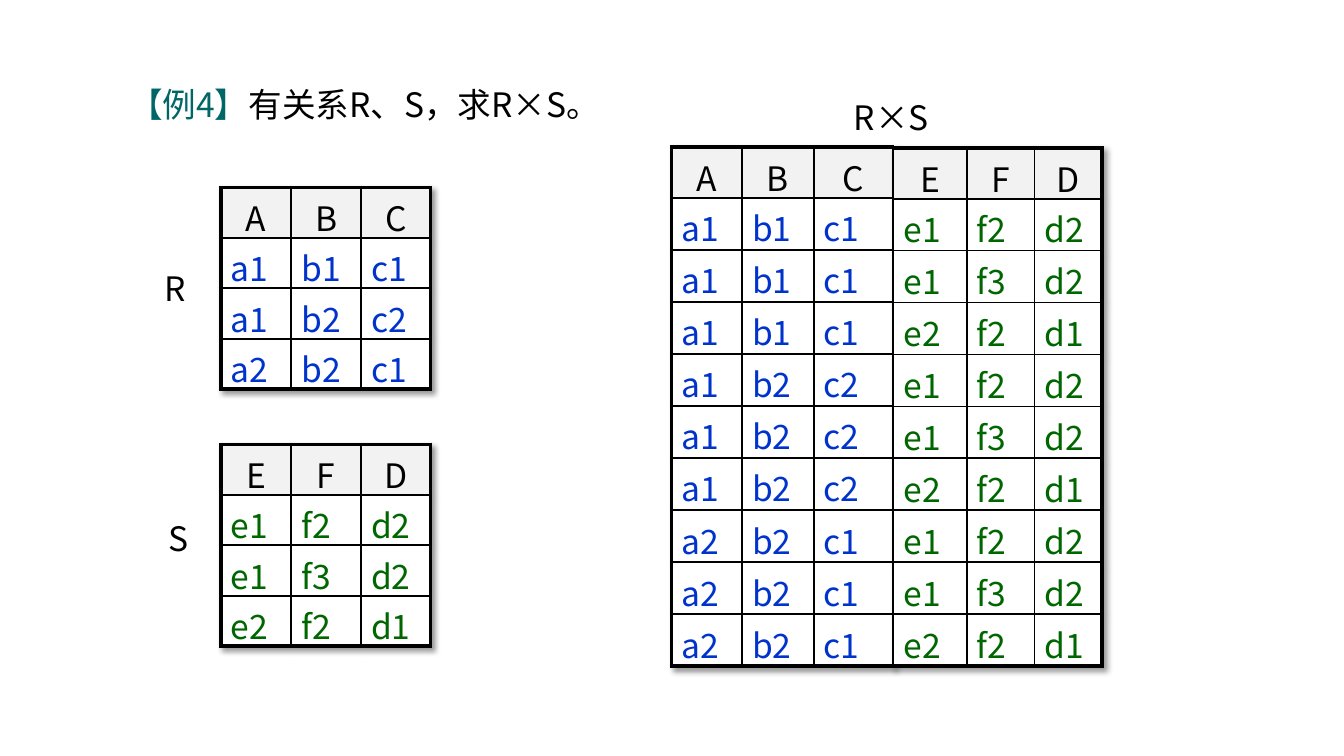
from dataclasses import dataclass
from itertools import product

from lxml import etree
from pptx import Presentation
from pptx.dml.color import RGBColor
from pptx.enum.text import MSO_ANCHOR, MSO_AUTO_SIZE, PP_ALIGN
from pptx.oxml import parse_xml
from pptx.oxml.ns import qn
from pptx.util import Inches, Pt

CENTER, LEFT = PP_ALIGN.CENTER, PP_ALIGN.LEFT
MIDDLE, TOP = MSO_ANCHOR.MIDDLE, MSO_ANCHOR.TOP
NO_AUTOFIT = MSO_AUTO_SIZE.NONE
TITLE_ONLY = 5
HEADER_HEIGHT = 0.5
NS = 'xmlns:a="http://schemas.openxmlformats.org/drawingml/2006/main"'

Row = tuple[str, ...]


@dataclass(frozen=True)
class Theme:
    font: str = "Noto Sans CJK SC"
    size: float = 24
    text: str = "000000"
    example: str = "006666"
    r_value: str = "0033CC"
    s_value: str = "006600"
    header_fill: str = "F2F2F2"
    body_fill: str = "FFFFFF"
    inner_line: float = 1.5
    outer_line: float = 3


@dataclass(frozen=True)
class Relation:
    left: float
    top: float
    widths: tuple[float, ...]
    height: float
    header: Row
    rows: list[Row]
    color: str
    outer_sides: str = "LTRB"


@dataclass(frozen=True)
class Label:
    text: str
    left: float
    top: float
    width: float
    height: float


THEME = Theme()
R_HEADER, S_HEADER = tuple("ABC"), tuple("EFD")
R_ROWS = [("a1", "b1", "c1"), ("a1", "b2", "c2"), ("a2", "b2", "c1")]
S_ROWS = [("e1", "f2", "d2"), ("e1", "f3", "d2"), ("e2", "f2", "d1")]
PAIRS = list(product(R_ROWS, S_ROWS))

RELATIONS = [
    Relation(2.19, 1.86, (0.7, 0.69, 0.69), 2,
             R_HEADER, R_ROWS, THEME.r_value),
    Relation(2.19, 4.41, (0.7, 0.69, 0.69), 2,
             S_HEADER, S_ROWS, THEME.s_value),
    Relation(6.66, 1.46, (0.7, 0.71, 0.79), 5.15,
             R_HEADER, [r for r, _ in PAIRS], THEME.r_value, "LTB"),
    Relation(8.86, 1.47, (0.73, 0.67, 0.67), 5.14,
             S_HEADER, [s for _, s in PAIRS], THEME.s_value, "TRB"),
]
LABELS = [
    Label("R", 1.57, 2.4, 0.33, 0.92),
    Label("S", 1.64, 4.88, 0.27, 0.92),
    Label("R×S", 8.34, 0.75, 1, 0.83),
]


def add_run(p, text: str, color: str) -> None:
    r = p.add_run()
    r.text = text
    r.font.size = Pt(THEME.size)
    r.font.bold = False
    r.font.name = THEME.font
    r.font.color.rgb = RGBColor.from_string(color)
    etree.SubElement(r._r.get_or_add_rPr(), qn("a:ea"), typeface=THEME.font)


def set_borders(cell, heavy_sides: set[str]) -> None:
    """Draw all four cell borders, thicker on the heavy sides."""
    tc_pr = cell._tc.get_or_add_tcPr()
    for i, side in enumerate("LRTB"):
        width = THEME.outer_line if side in heavy_sides else THEME.inner_line
        tc_pr.insert(i, parse_xml(
            f'<a:ln{side} {NS} w="{Pt(width)}"><a:solidFill>'
            f'<a:srgbClr val="{THEME.text}"/></a:solidFill></a:ln{side}>'))


def add_table_shadow(table) -> None:
    table._tbl.tblPr.insert(0, parse_xml(
        f'<a:effectLst {NS}><a:outerShdw blurRad="50800" dist="38100" '
        'dir="2700000" algn="tl" rotWithShape="0"><a:srgbClr val="000000">'
        '<a:alpha val="40000"/></a:srgbClr></a:outerShdw></a:effectLst>'))


def add_relation(slide, relation: Relation) -> None:
    rows = [relation.header, *relation.rows]
    body_count = len(relation.rows)
    row_height = (relation.height - HEADER_HEIGHT) / body_count
    heights = [HEADER_HEIGHT] + [row_height] * body_count
    last_row, last_col = body_count, len(relation.widths) - 1
    table = slide.shapes.add_table(
        len(rows), len(relation.widths), Inches(relation.left), Inches(relation.top),
        Inches(sum(relation.widths)), Inches(relation.height)).table
    table.first_row = table.horz_banding = False
    add_table_shadow(table)
    for column, width in zip(table.columns, relation.widths):
        column.width = Inches(width)
    for i, (values, height) in enumerate(zip(rows, heights)):
        table.rows[i].height = Inches(height)
        for j, value in enumerate(values):
            cell = table.cell(i, j)
            cell.vertical_anchor = TOP
            cell.fill.solid()
            cell.fill.fore_color.rgb = RGBColor.from_string(
                THEME.body_fill if i else THEME.header_fill)
            at_edge = {"L": j == 0, "R": j == last_col, "T": i == 0, "B": i == last_row}
            set_borders(cell, {s for s in relation.outer_sides if at_edge[s]})
            p = cell.text_frame.paragraphs[0]
            p.alignment = LEFT if i else CENTER
            add_run(p, value, relation.color if i else THEME.text)


def add_label(slide, label: Label) -> None:
    sp = slide.shapes.add_textbox(Inches(label.left), Inches(label.top),
                                  Inches(label.width), Inches(label.height))
    tf = sp.text_frame
    tf.margin_left = tf.margin_right = 0
    tf.word_wrap = False
    tf.vertical_anchor = MIDDLE
    p = tf.paragraphs[0]
    p.alignment = CENTER
    add_run(p, label.text, THEME.text)


def set_title(slide) -> None:
    sp = slide.shapes.title
    sp.left, sp.top, sp.width, sp.height = map(Inches, (1.18, 0.78, 7.01, 0.51))
    tf = sp.text_frame
    tf.word_wrap = True
    tf.auto_size = NO_AUTOFIT
    tf.vertical_anchor = TOP
    p = tf.paragraphs[0]
    p.alignment = LEFT
    add_run(p, "【例4】", THEME.example)
    add_run(p, "有关系R、S，求R×S。", THEME.text)


def main() -> None:
    prs = Presentation()
    prs.slide_width, prs.slide_height = Inches(13.33), Inches(7.5)
    slide = prs.slides.add_slide(prs.slide_layouts[TITLE_ONLY])
    set_title(slide)
    for label in LABELS:
        add_label(slide, label)
    for relation in RELATIONS:
        add_relation(slide, relation)
    prs.save("out.pptx")


if __name__ == "__main__":
    main()
